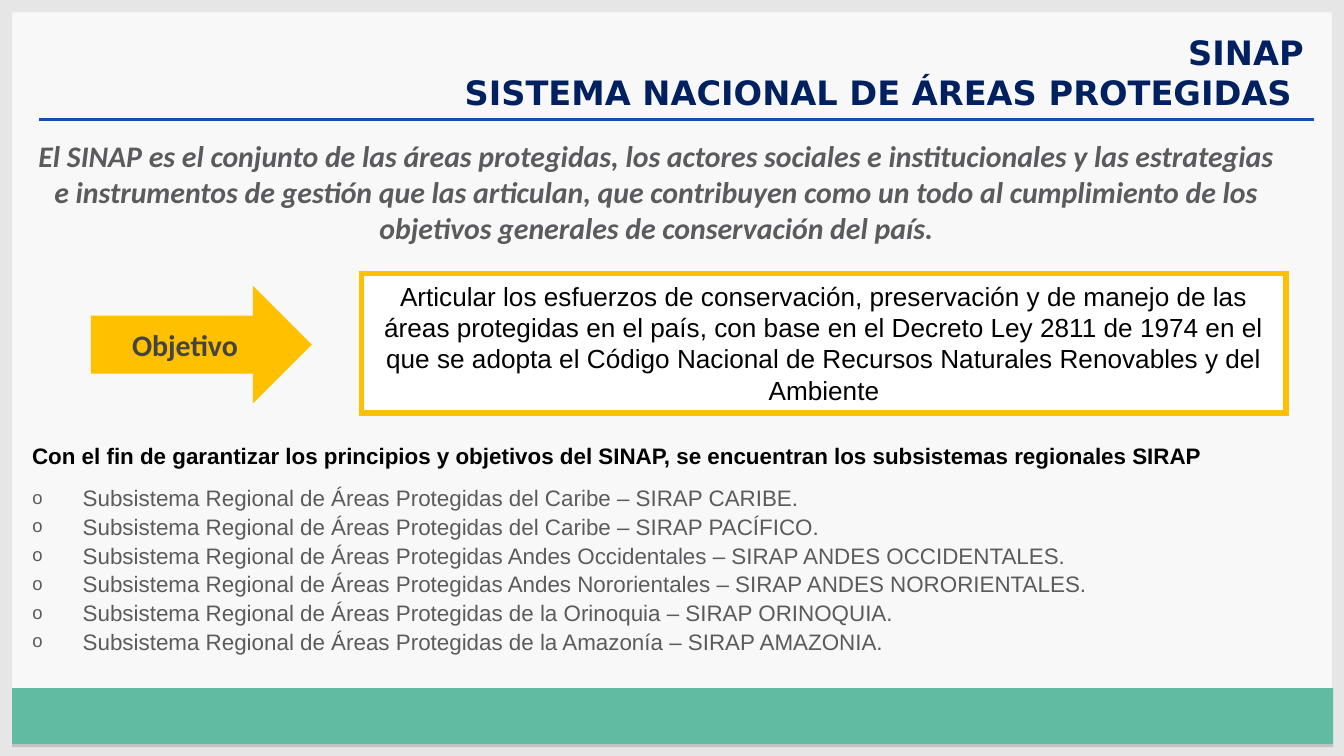
import pptx
import pptx.util
import pptx.dml.color
import pptx.enum.shapes
import pptx.enum.text
import pptx.oxml
import pptx.oxml.ns
import copy
import lxml.etree

Pt = pptx.util.Pt
Kind = pptx.enum.shapes.MSO_SHAPE
Align = pptx.enum.text.PP_ALIGN
Anchor = pptx.enum.text.MSO_ANCHOR
tag = pptx.oxml.ns.qn
rgb = pptx.dml.color.RGBColor.from_string

theme = {
    "back": "F8F8F8", "edge": "E6E6E6", "band": "61BBA2", "gold": "FFC000",
    "rule": "104FB3", "white": "FFFFFF", "shade": "808080", "gray": "5B5B5E",
    "head": {"name": "DejaVu Sans", "size": Pt(18), "bold": True, "color": "002060"},
    "lead": {"name": "Calibri", "size": Pt(16), "bold": True, "italic": True, "color": "5B5B5E"},
    "goal": {"name": "Calibri", "size": Pt(16), "bold": True, "color": "444446"},
    "tail": {"name": "Calibri", "size": Pt(11), "bold": False, "color": "FFFFFF"},
    "aim": {"name": "Arial", "size": Pt(14), "color": "000000"},
    "note": {"name": "Arial", "size": Pt(12), "bold": True, "color": "000000"},
    "list": {"name": "Arial", "size": Pt(12), "color": "5B5B5E"},
}

deck = pptx.Presentation()
deck.slide_width = pptx.util.Inches(10)
deck.slide_height = deck.slide_width * 9 // 16
slide = deck.slides.add_slide(deck.slide_layouts[1])
shapes = slide.shapes
slide.background.fill.solid()
slide.background.fill.fore_color.rgb = rgb(theme["back"])

# The grid has 100 columns; its cells are square.
cell = deck.slide_width / 100
wide, high = 100, 100 * 9 / 16
rim = 0.9


def grid(*cells):
    return [round(n * cell) for n in cells]


def write(shape, lines, style, align, anchor=Anchor.TOP, tail=None):
    """Fill a shape with one paragraph per line, all in one style of the theme."""
    frame = shape.text_frame
    for key, value in {"word_wrap": True, "vertical_anchor": anchor,
                       "auto_size": pptx.enum.text.MSO_AUTO_SIZE.NONE}.items():
        setattr(frame, key, value)
    for i, line in enumerate(lines):
        para = frame.paragraphs[0] if i == 0 else frame.add_paragraph()
        para.text, para.alignment, para.space_before = line, align, Pt(0)
        looks = [(run, style) for run in para.runs]
        if tail:
            last = para.add_run()
            last.text = tail
            looks.append((last, "tail"))
        for run, look in looks:
            for key, value in theme[look].items():
                if key == "color":
                    run.font.color.rgb = rgb(value)
                else:
                    setattr(run.font, key, value)
        for gap in para._p.findall(tag("a:br")):
            gap.append(copy.deepcopy(para.runs[0]._r.rPr))


# Frame, band, arrow and goal box: kind, place, fill, line colour, line width
forms = {
    "top": (Kind.RECTANGLE, (0, 0, wide, rim), "edge", None, 0),
    "foot": (Kind.RECTANGLE, (0, high - rim, wide, rim), "edge", None, 0),
    "left": (Kind.RECTANGLE, (0, 0, rim, high), "edge", None, 0),
    "right": (Kind.RECTANGLE, (wide - rim, 0, rim, high), "edge", None, 0),
    "band": (Kind.RECTANGLE, (rim, 51.2, wide - 2 * rim + 0.1, 4.15), "band", None, 0),
    "arrow": (Kind.RIGHT_ARROW, (6.9, 21.6, 16.1, 8.1), "gold", "gold", 2),
    "goal": (Kind.RECTANGLE, (26.9, 20.35, 68.8, 10.4), "white", "gold", 3),
}
made = {}
for name, (kind, place, fill, line, width) in forms.items():
    form = made[name] = shapes.add_shape(kind, *grid(*place))
    form.shadow.inherit = False
    form.fill.solid()
    form.fill.fore_color.rgb = rgb(theme[fill])
    if line:
        form.line.color.rgb = rgb(theme[line])
        form.line.width = Pt(width)
        joint = lxml.etree.SubElement(form.line._get_or_add_ln(), tag("a:miter"))
        joint.set("lim", "800000")
    else:
        form.line.fill.background()

space = pptx.oxml.ns.nsdecls("a")
glow = made["band"]._element.spPr.find(tag("a:effectLst"))
glow.append(pptx.oxml.parse_xml(
    f'<a:outerShdw {space} blurRad="0" dist="{Pt(1.8)}" dir="5400000" rotWithShape="0">'
    f'<a:srgbClr val="{theme["shade"]}"><a:alpha val="35000"/></a:srgbClr></a:outerShdw>'))

rule = shapes.add_connector(pptx.enum.shapes.MSO_CONNECTOR.STRAIGHT, *grid(97.8, 8.9, 2.9, 8.9))
rule.line.color.rgb = rgb(theme["rule"])
rule.line.width = Pt(2)
lxml.etree.SubElement(rule._element.spPr, tag("a:effectLst"))

title, body = shapes.title, slide.placeholders[1]
lead = shapes.add_textbox(*grid(1.4, 9.75, 94.9, 9))
note = shapes.add_textbox(*grid(1.4, 32.4, 133.1, 3))
for shape, place in ((title, (6.9, 1.85, 91.1, 7)), (body, (1.4, 35.4, 121.1, 13.9))):
    shape.left, shape.top, shape.width, shape.height = grid(*place)

write(title, ["SINAP\vSISTEMA NACIONAL DE ÁREAS PROTEGIDAS "], "head", Align.RIGHT)
write(lead, ["El SINAP es el conjunto de las áreas protegidas, los actores sociales e "
             "institucionales y las estrategias e instrumentos de gestión que las articulan, "
             "que contribuyen como un todo al cumplimiento de los objetivos generales de "
             "conservación del país."], "lead", Align.CENTER)
write(made["arrow"], ["Objetivo"], "goal", Align.CENTER, Anchor.MIDDLE, " ")
write(made["goal"], ["Articular los esfuerzos de conservación, preservación y de manejo de las "
                     "áreas protegidas en el país, con base en el Decreto Ley 2811 de 1974 en el "
                     "que se adopta el Código Nacional de Recursos Naturales Renovables y del "
                     "Ambiente"], "aim", Align.CENTER)
write(note, ["Con el fin de garantizar los principios y objetivos del SINAP, "
             "se encuentran los subsistemas regionales SIRAP"], "note", Align.LEFT)

zones = (
    ("del Caribe", "CARIBE"),
    ("del Caribe", "PACÍFICO"),
    ("Andes Occidentales", "ANDES OCCIDENTALES"),
    ("Andes Nororientales", "ANDES NORORIENTALES"),
    ("de la Orinoquia", "ORINOQUIA"),
    ("de la Amazonía", "AMAZONIA"),
)
write(body, [f"Subsistema Regional de Áreas Protegidas {zone} – SIRAP {code}."
             for zone, code in zones], "list", Align.JUSTIFY)
dent = grid(3.75)[0]
for para in body.text_frame.paragraphs:
    para.line_spacing = 1.07
    props = para._p.get_or_add_pPr()
    props.set("marL", str(dent))
    props.set("indent", str(-dent))
    for part in (f'<a:buClr {space}><a:srgbClr val="{theme["gray"]}"/></a:buClr>',
                 f'<a:buSzPct {space} val="83000"/>',
                 f'<a:buFont {space} typeface="Arial"/>',
                 f'<a:buChar {space} char="o"/>'):
        props.append(pptx.oxml.parse_xml(part))

deck.save("out.pptx")
